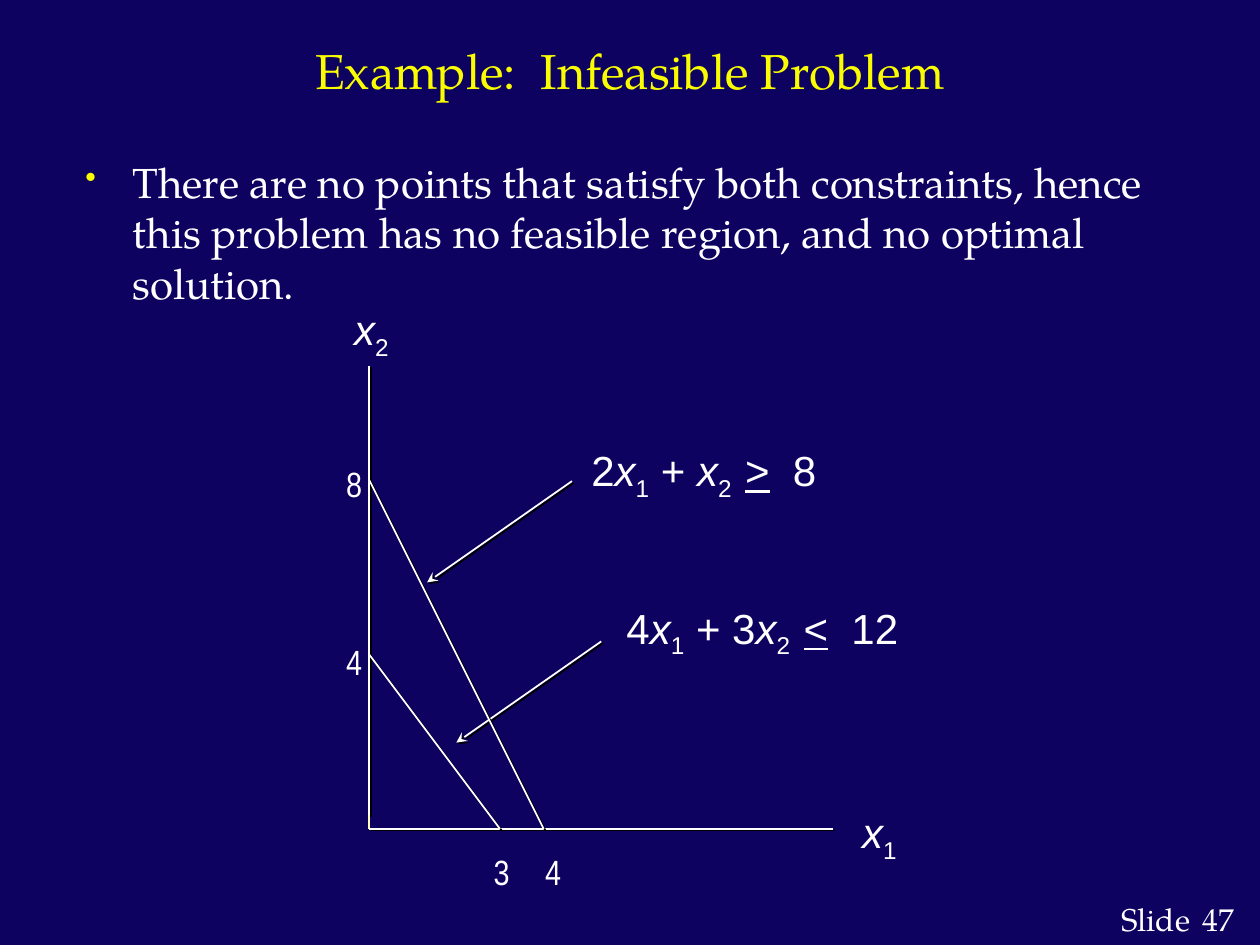
from lxml import etree
from pptx import Presentation
from pptx.dml.color import RGBColor
from pptx.enum.shapes import MSO_CONNECTOR
from pptx.enum.text import MSO_ANCHOR, MSO_AUTO_SIZE, PP_ALIGN
from pptx.oxml.ns import qn
from pptx.util import Cm, Pt

STRAIGHT = MSO_CONNECTOR.STRAIGHT
MIDDLE = MSO_ANCHOR.MIDDLE
GROW = MSO_AUTO_SIZE.SHAPE_TO_FIT_TEXT
CENTER = PP_ALIGN.CENTER

NAVY, YELLOW, CREAM = "0D0260", "FAFD00", "FCFEB9"
WHITE, BLACK, OFF_WHITE = "FFFFFF", "000000", "FFFCFD"
SERIF = "TeX Gyre Pagella"
TITLE = {"name": SERIF, "size": Pt(28)}
BODY = {"name": SERIF, "size": Pt(24)}
FOOTER = {"name": SERIF, "size": Pt(18)}
MATH = {"name": "Arial", "size": Pt(24)}
TICK = {"name": "Arial Narrow", "size": Pt(20)}
ITALIC, UNDERLINE, SUB = {"italic": True}, {"underline": True}, {"sub": True}

ORIGIN_X, ORIGIN_Y = 7.44, 16.71
UNIT = 0.88


def rgb(value):
    return RGBColor.from_string(value)


def add_run(p, text, fmt, color):
    r = p.add_run()
    r.text = text
    for name, value in fmt.items():
        if name == "sub":
            r._r.get_or_add_rPr().set("baseline", "-25000")
        else:
            setattr(r.font, name, value)
    r.font.color.rgb = rgb(color)


def add_text(s, box, runs, fmt, color=WHITE, wrap=False, inset=(0.25, 0.13)):
    tf = s.shapes.add_textbox(*map(Cm, box)).text_frame
    margins = dict(zip(("left", "top", "right", "bottom"), inset * 2))
    for side, value in margins.items():
        setattr(tf, f"margin_{side}", Cm(value))
    tf.word_wrap = wrap
    if not wrap:
        tf.auto_size = GROW
    for text, extra in runs:
        add_run(tf.paragraphs[0], text, fmt | extra, color)
    return tf


def add_math(s, box, runs):
    add_text(s, box, runs, MATH, inset=(0.36, 0.18))


def add_bullet(p):
    pPr = p._p.get_or_add_pPr()
    pPr.set("marL", str(Cm(0.95)))
    pPr.set("indent", str(-Cm(0.95)))
    color = etree.SubElement(pPr, qn("a:buClr"))
    etree.SubElement(color, qn("a:srgbClr"), val=YELLOW)
    etree.SubElement(pPr, qn("a:buSzPct"), val="75000")
    etree.SubElement(pPr, qn("a:buChar"), char="•")


def add_line(s, start, end, color=WHITE, arrow=False, shadow=True):
    line = s.shapes.add_connector(STRAIGHT, *map(Cm, start + end))
    line.line.color.rgb = rgb(color)
    line.line.width = Pt(1)
    if arrow:
        etree.SubElement(line.get_or_add_ln(), qn("a:tailEnd"), type="stealth")
    effects = etree.SubElement(line._element.spPr, qn("a:effectLst"))
    if shadow:
        outer = etree.SubElement(effects, qn("a:outerShdw"), blurRad="0",
                                 dist=str(Pt(1.4)), dir="2700000")
        etree.SubElement(outer, qn("a:srgbClr"), val=BLACK)


def point(x1, x2):
    return ORIGIN_X + x1 * UNIT, ORIGIN_Y - x2 * UNIT


def add_graph(s):
    for start in ((12.12, 12.93), (11.53, 9.7)):
        add_line(s, start, (start[0] - 2.92, start[1] + 2.04), arrow=True)
    axis_foot = (ORIGIN_X, 16.43)
    add_line(s, (ORIGIN_X, 7.37), axis_foot)
    add_line(s, axis_foot, point(0, 0), CREAM, shadow=False)
    add_line(s, point(0, 0), (16.79, ORIGIN_Y))
    for x1, x2 in ((3, 4), (4, 8)):
        add_line(s, point(0, x2), point(x1, 0))
    for text, x, y in (("3", 9.7, 17.02), ("4", 10.74, 17.02),
                       ("4", 6.73, 12.78), ("8", 6.73, 9.2)):
        add_text(s, (x, y, 0.84, 1.09), [(text, {})], TICK)


def add_formulas(s):
    for index, x, y in (("2", 6.78, 5.94), ("1", 17.02, 16.08)):
        add_math(s, (x, y, 1.45, 1.37), [("x", ITALIC), (index, SUB)])
    for box, first, plus, sign, limit in (
            ((12.27, 11.96, 6.48, 1.37), "4", " + 3", "<", "  12"),
            ((11.56, 8.79, 5.54, 1.37), "2", " + ", ">", "  8")):
        add_math(s, box, [(first, {}), ("x", ITALIC), ("1", SUB), (plus, {}),
                          ("x", ITALIC), ("2  ", SUB), (sign, UNDERLINE), (limit, {})])


def main():
    prs = Presentation()
    prs.slide_width, prs.slide_height = Cm(25.4), Cm(19.05)
    s = prs.slides.add_slide(prs.slide_layouts[6])
    s.background.fill.solid()
    s.background.fill.fore_color.rgb = rgb(NAVY)

    add_text(s, (22.35, 18.01, 1.9, 1.02), [("Slide", {})], FOOTER, OFF_WHITE)
    add_text(s, (24, 18.01, 1.32, 1.02), [("47", {})], FOOTER, OFF_WHITE)
    tf = add_text(s, (1.47, 0.28, 22.45, 2.26), [("Example:  Infeasible Problem", {})],
                  TITLE, YELLOW, wrap=True)
    tf.vertical_anchor = MIDDLE
    tf.paragraphs[0].alignment = CENTER
    tf = add_text(s, (1.47, 3.02, 22.5, 13.89),
                  [("There are no points that satisfy both constraints, hence this problem "
                    "has no feasible region, and no optimal solution.", {})], BODY, wrap=True)
    add_bullet(tf.paragraphs[0])
    add_formulas(s)
    add_graph(s)
    prs.save("out.pptx")


if __name__ == "__main__":
    main()
